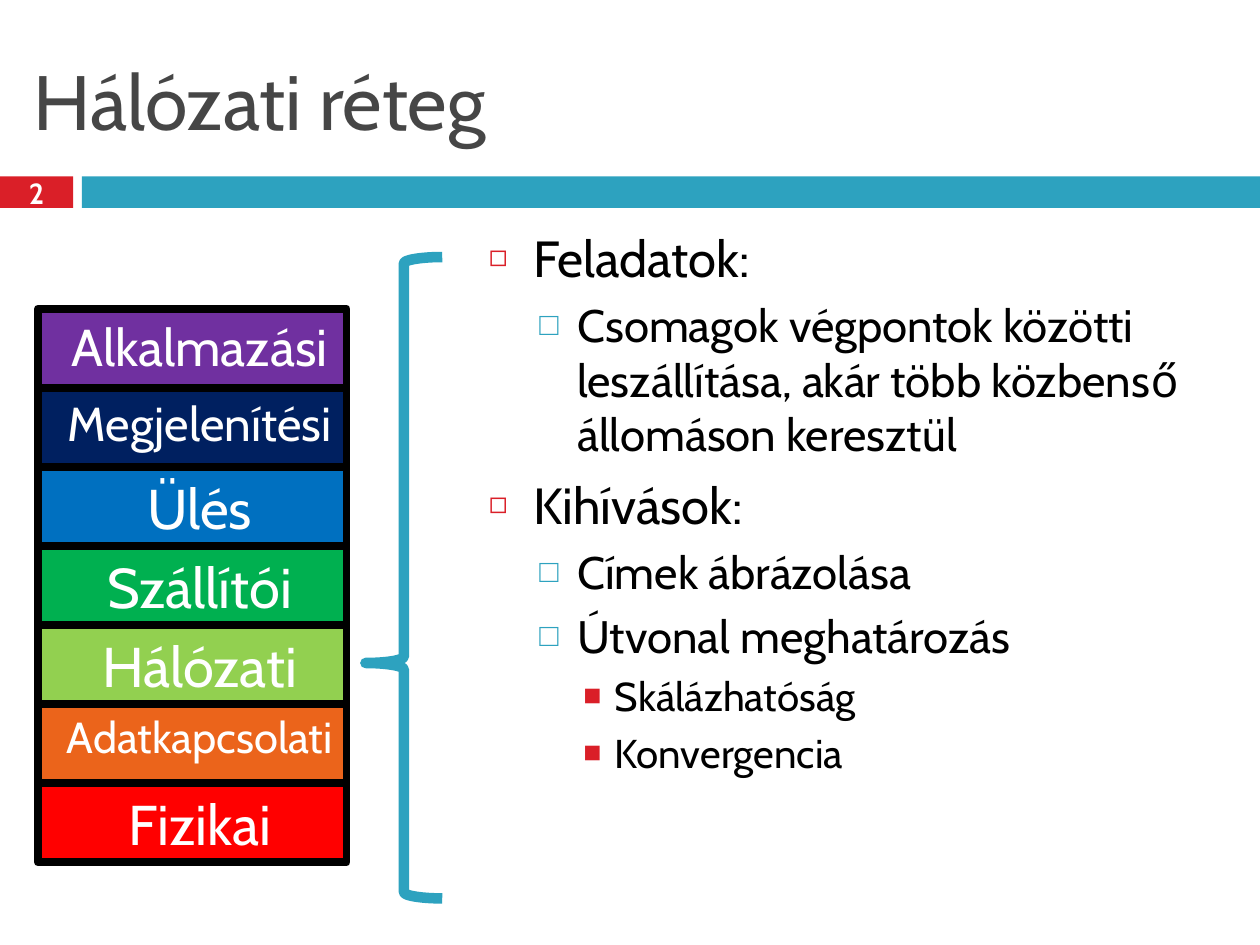
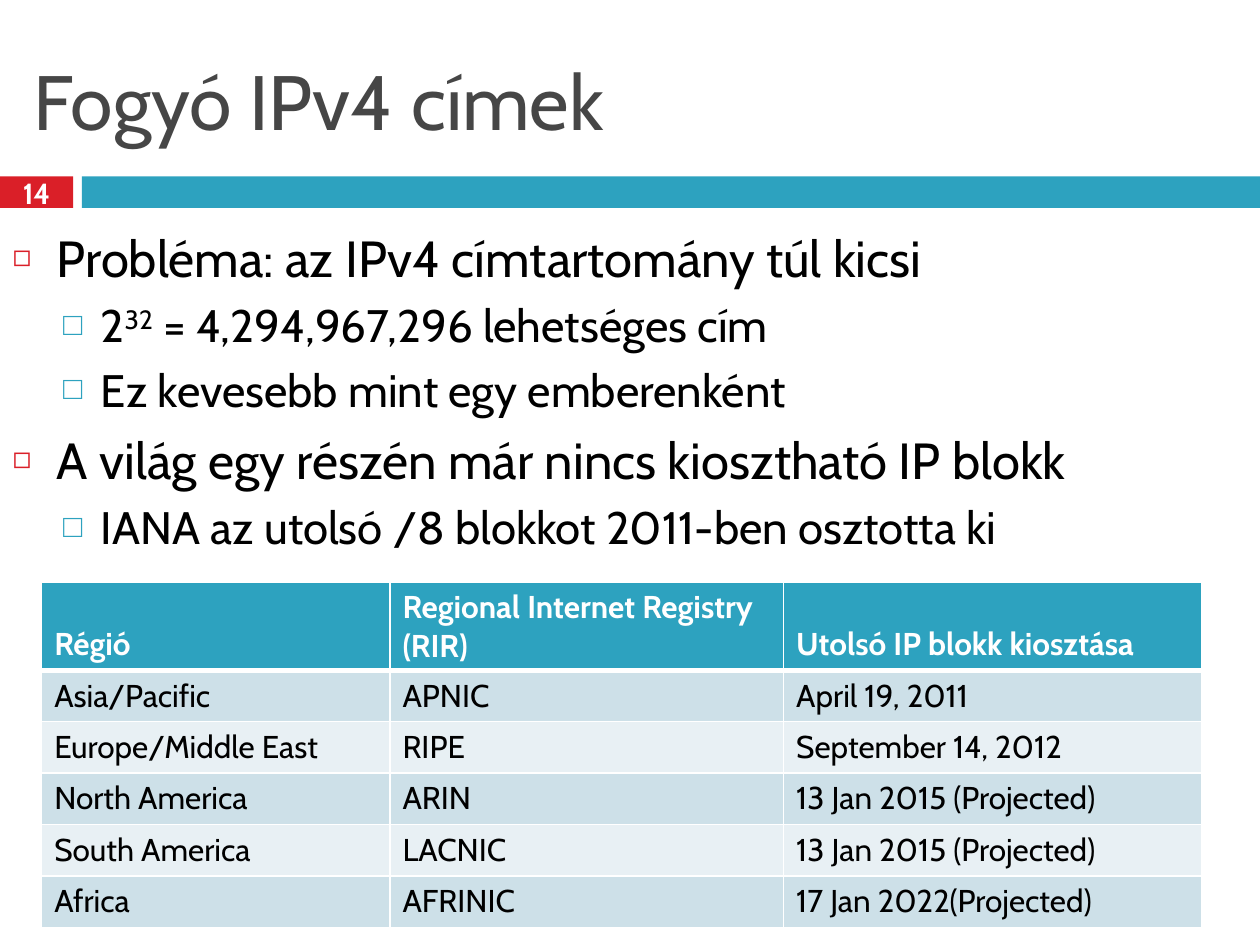
import pptx
import pptx.util
import pptx.dml.color
import pptx.enum.shapes
import pptx.enum.text
import pptx.oxml
import pptx.oxml.ns

Pt = pptx.util.Pt
RGBColor = pptx.dml.color.RGBColor
Shape = pptx.enum.shapes.MSO_SHAPE
Align = pptx.enum.text.PP_ALIGN
Anchor = pptx.enum.text.MSO_ANCHOR

FONT = "Cabin"
RED = RGBColor(0xDA, 0x1F, 0x28)
TEAL = RGBColor(0x2D, 0xA2, 0xBF)
GREY = RGBColor(0x46, 0x46, 0x46)
BLACK = RGBColor(0, 0, 0)
WHITE = RGBColor(0xFF, 0xFF, 0xFF)
DARK_ROW = RGBColor(0xCD, 0xE0, 0xE8)
LIGHT_ROW = RGBColor(0xE8, 0xF0, 0xF4)
PURPLE = RGBColor(0x70, 0x30, 0xA0)
NAVY = RGBColor(0x00, 0x20, 0x60)
BLUE = RGBColor(0x00, 0x70, 0xC0)
GREEN = RGBColor(0x00, 0xB0, 0x50)
LIME = RGBColor(0x92, 0xD0, 0x50)
ORANGE = RGBColor(0xEB, 0x64, 0x1B)
BRIGHT = RGBColor(0xFF, 0, 0)

# level: size, space before, margin, hanging, bullet, bullet colour, bullet percent
LEVELS = [
    (29, 7, 25.2, 25.2, "◻", RED, 60),
    (26, 5.5, 50.4, 21.6, "□", TEAL, 70),
    (23, 5, 72, 18, "■", RED, 75),
]

LAYERS = [
    ("Alkalmazási", PURPLE, 29.6),
    ("Megjelenítési", NAVY, 27.2),
    ("Ülés", BLUE, 32),
    ("Szállítói", GREEN, 32),
    ("Hálózati", LIME, 32),
    ("Adatkapcsolati", ORANGE, 24.8),
    ("Fizikai", BRIGHT, 32),
]

TASKS = [
    (0, "Feladatok:"),
    (1, "Csomagok végpontok közötti leszállítása, akár több közbenső állomáson keresztül"),
    (0, "Kihívások:"),
    (1, "Címek ábrázolása"),
    (1, "Útvonal meghatározás"),
    (2, "Skálázhatóság"),
    (2, "Konvergencia"),
]

FACTS = [
    (0, "Probléma: az IPv4 címtartomány túl kicsi"),
    (1, "2^32^ = 4,294,967,296 lehetséges cím"),
    (1, "Ez kevesebb mint egy emberenként"),
    (0, "A világ egy részén már nincs kiosztható IP blokk"),
    (1, "IANA az utolsó /8 blokkot 2011-ben osztotta ki"),
]

BLOCKS = [
    ("Régió", "Regional Internet Registry (RIR)", "Utolsó IP blokk kiosztása"),
    ("Asia/Pacific", "APNIC", "April 19, 2011"),
    ("Europe/Middle East", "RIPE", "September 14, 2012"),
    ("North America", "ARIN", "13 Jan 2015 (Projected)"),
    ("South America", "LACNIC", "13 Jan 2015 (Projected)"),
    ("Africa", "AFRINIC", "17 Jan 2022(Projected)"),
]


def place(shape, left, top, width, height):
    shape.left, shape.top = Pt(left), Pt(top)
    shape.width, shape.height = Pt(width), Pt(height)


def style(para, size, color, bold=False, align=Align.LEFT):
    para.alignment = align
    font = para.font
    font.name, font.size, font.bold = FONT, Pt(size), bold
    font.color.rgb = color


def add_node(parent, tag, **attrs):
    node = pptx.oxml.parse_xml(f"<a:{tag} {pptx.oxml.ns.nsdecls('a')}/>")
    for key, value in attrs.items():
        node.set(key, str(value))
    parent.append(node)
    return node


def add_box(slide, kind, left, top, width, height, fill=None, line=None, weight=1):
    box = slide.shapes.add_shape(kind, Pt(left), Pt(top), Pt(width), Pt(height))
    box.shadow.inherit = False
    if fill is None:
        box.fill.background()
    else:
        box.fill.solid()
        box.fill.fore_color.rgb = fill
    if line is None:
        box.line.fill.background()
    else:
        box.line.color.rgb = line
        box.line.width = Pt(weight)
    return box


def add_number(slide, number):
    box = slide.shapes.add_textbox(Pt(0), Pt(98.6), Pt(41.8), Pt(23.8))
    frame = box.text_frame
    frame.word_wrap = True
    frame.vertical_anchor = Anchor.MIDDLE
    frame.margin_left = frame.margin_right = 0
    frame.text = str(number)
    style(frame.paragraphs[0], 16.6, WHITE, True, Align.CENTER)


def add_slide(deck, title, number):
    slide = deck.slides.add_slide(deck.slide_layouts[1])
    add_box(slide, Shape.RECTANGLE, 0, 100.8, 41.8, 18, RED)
    add_box(slide, Shape.RECTANGLE, 46.8, 100.8, 673.2, 18, TEAL)
    head = slide.shapes.title
    place(head, 12.2, 18, 696, 77.8)
    frame = head.text_frame
    frame.auto_size = pptx.enum.text.MSO_AUTO_SIZE.NONE
    frame.vertical_anchor = Anchor.MIDDLE
    frame.text = title
    style(frame.paragraphs[0], 44, GREY)
    add_number(slide, number)
    return slide


def add_bullet(para, margin, hang, mark, color, percent):
    props = para._p.get_or_add_pPr()
    props.set("marL", str(Pt(margin)))
    props.set("indent", str(-Pt(hang)))
    add_node(add_node(props, "buClr"), "srgbClr", val=color)
    add_node(props, "buSzPct", val=percent * 1000)
    add_node(props, "buChar", char=mark)


def fill_body(slide, items, left, top, width, height):
    body = slide.placeholders[1]
    place(body, left, top, width, height)
    frame = body.text_frame
    frame.auto_size = pptx.enum.text.MSO_AUTO_SIZE.NONE
    for index, (level, text) in enumerate(items):
        para = frame.add_paragraph() if index else frame.paragraphs[0]
        size, before, *bullet = LEVELS[level]
        para.level = level
        add_bullet(para, *bullet)
        para.space_before = Pt(before)
        style(para, size, BLACK)
        for part, words in enumerate(text.split("^")):
            run = para.add_run()
            run.text = words
            if part % 2:
                run._r.get_or_add_rPr().set("baseline", "30000")


def add_stack(slide, layers):
    step = 45.2
    for index, (name, color, size) in enumerate(layers):
        box = add_box(slide, Shape.RECTANGLE, 21.6, 176.4 + index * step,
                      176.4, step, color, BLACK, 4.5)
        frame = box.text_frame
        frame.vertical_anchor = Anchor.TOP
        frame.margin_left = Pt(15.8)
        frame.text = name
        para = frame.paragraphs[0]
        para.space_before = Pt(1)
        style(para, size, WHITE, align=Align.CENTER)


def add_brace(slide):
    brace = add_box(slide, Shape.LEFT_BRACE, 208.8, 146.9, 43.9, 366.5,
                    line=TEAL, weight=6)
    brace.adjustments[0] = 0.083
    brace.adjustments[1] = 0.633


def add_edges(cell, under):
    props = cell._tc.get_or_add_tcPr()
    for tag, weight in (("lnL", 1), ("lnR", 1), ("lnT", 1), ("lnB", under)):
        edge = add_node(props, tag, w=Pt(weight))
        add_node(add_node(edge, "solidFill"), "srgbClr", val=WHITE)


def add_grid(slide, rows, widths):
    tall, low = 49.7, 29.4
    frame = slide.shapes.add_table(len(rows), len(widths), Pt(23.8), Pt(332.6),
                                   Pt(sum(widths)), Pt(tall + low * (len(rows) - 1)))
    table = frame.table
    for column, width in zip(table.columns, widths):
        column.width = Pt(width)
    for r, row in enumerate(rows):
        head = r == 0
        table.rows[r].height = Pt(tall if head else low)
        shade = TEAL if head else DARK_ROW if r % 2 else LIGHT_ROW
        for c, text in enumerate(row):
            cell = table.cell(r, c)
            cell.text = text
            cell.vertical_anchor = Anchor.BOTTOM if head else Anchor.TOP
            add_edges(cell, 3 if r < 1 else 1)
            cell.fill.solid()
            cell.fill.fore_color.rgb = shade
            style(cell.text_frame.paragraphs[0], 18, WHITE if head else BLACK, head)


def main():
    deck = pptx.Presentation()
    deck.slide_width, deck.slide_height = Pt(720), Pt(540)

    layer = add_slide(deck, "Hálózati réteg", 2)
    fill_body(layer, TASKS, 272.2, 126, 436.3, 401.8)
    add_stack(layer, LAYERS)
    add_brace(layer)

    supply = add_slide(deck, "Fogyó IPv4 címek", 14)
    fill_body(supply, FACTS, 0, 126, 720, 203.8)
    add_grid(supply, BLOCKS, (199, 225, 239))

    deck.save("out.pptx")


if __name__ == "__main__":
    main()
